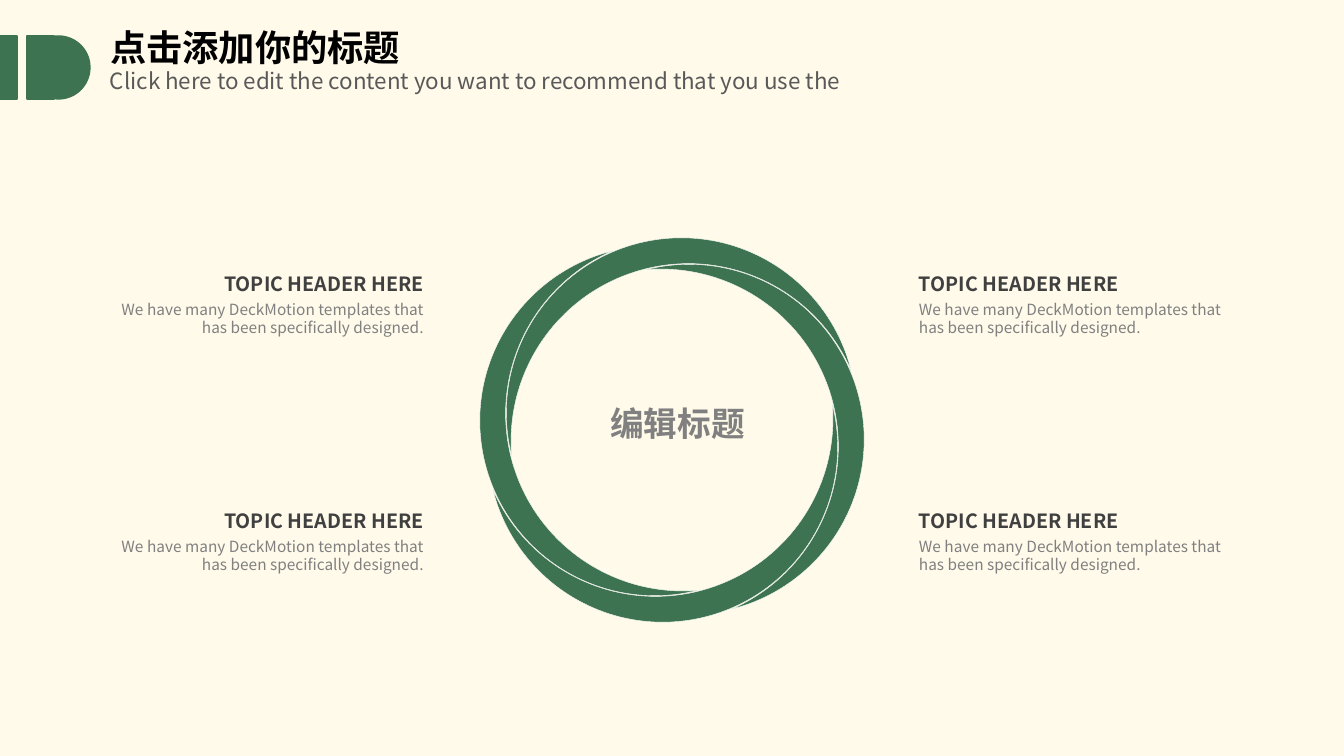
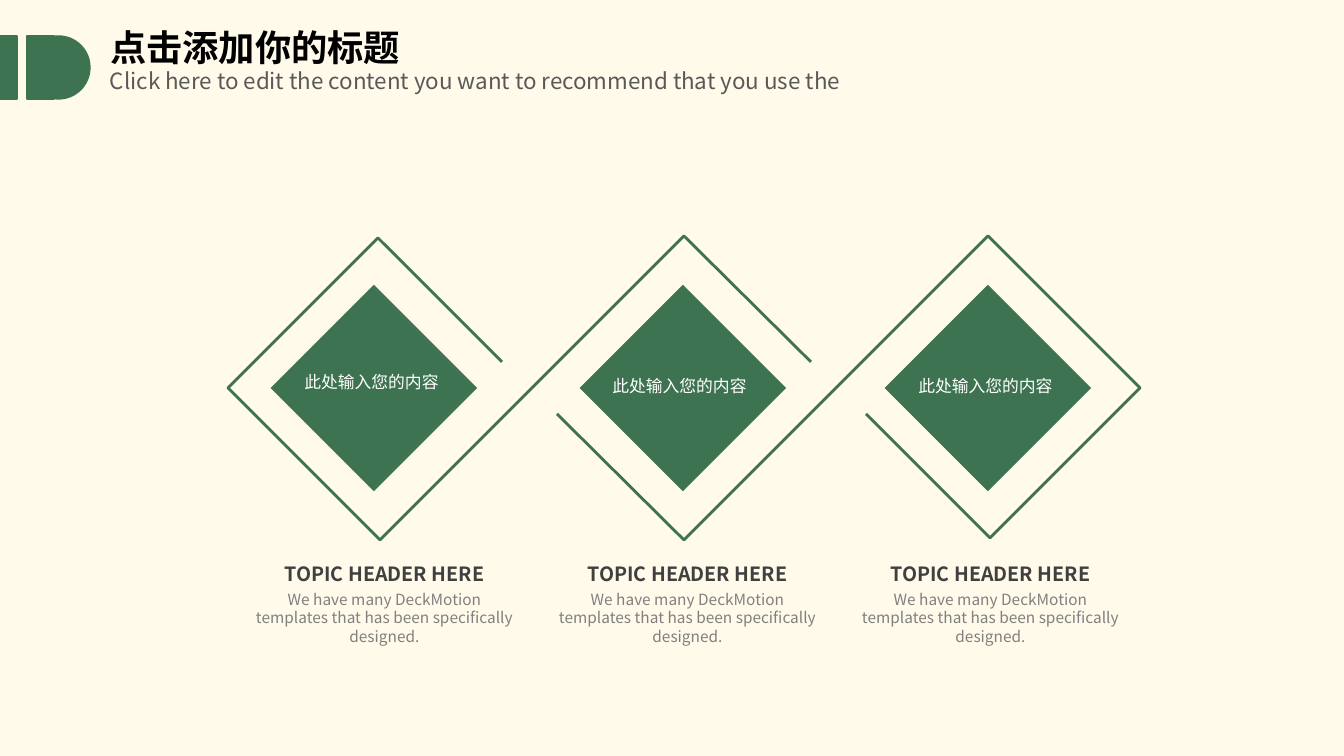
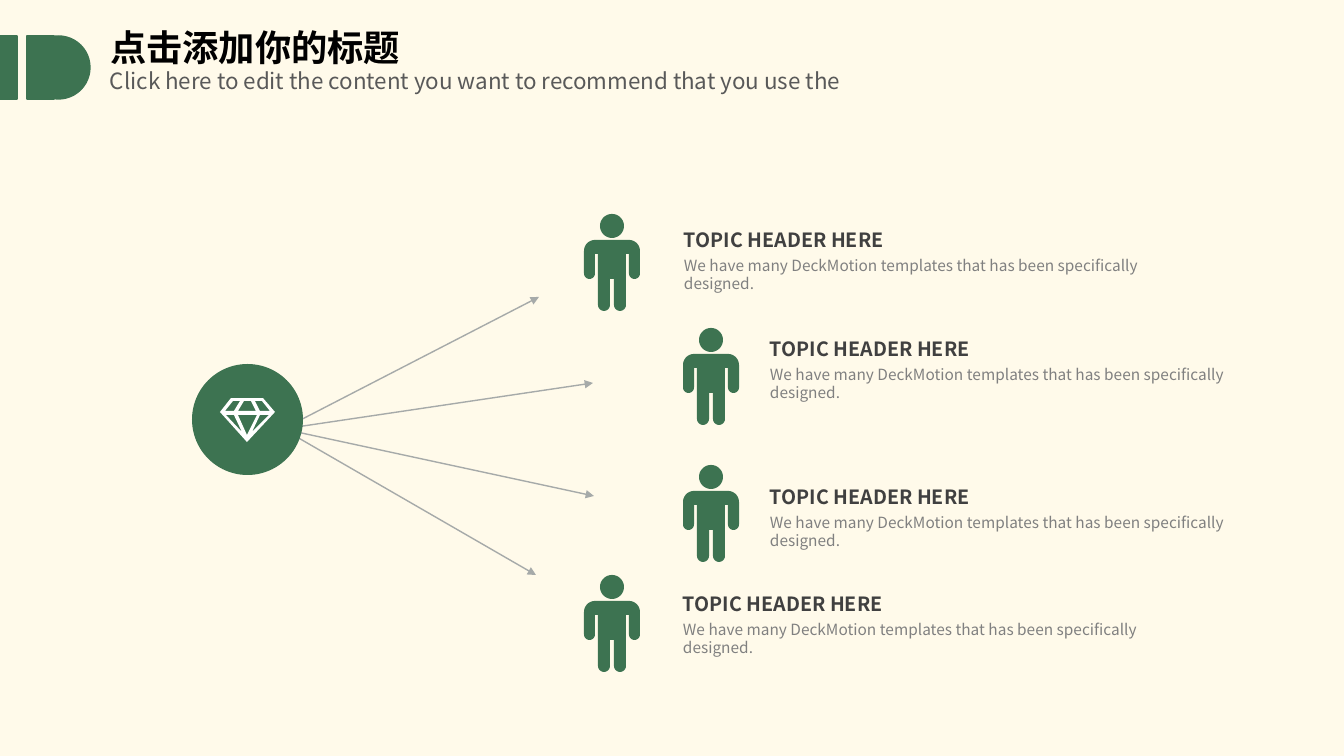
from dataclasses import dataclass
from math import cos, radians, sin

from lxml import etree
from pptx import Presentation
from pptx.dml.color import RGBColor
from pptx.enum.shapes import MSO_CONNECTOR as Connector
from pptx.enum.shapes import MSO_SHAPE as Preset
from pptx.enum.text import MSO_ANCHOR as Anchor
from pptx.enum.text import MSO_AUTO_SIZE as AutoSize
from pptx.enum.text import PP_ALIGN as Align
from pptx.oxml.ns import qn
from pptx.util import Emu, Pt


@dataclass(frozen=True)
class Theme:
    page: str = "FFFAEA"
    green: str = "3D7351"
    white: str = "FFFFFF"
    black: str = "000000"
    heading: str = "404040"
    subtitle: str = "595959"
    body: str = "808080"
    arrow: str = "A6AAA9"
    font: str = "Noto Sans CJK SC"
    center_font: str = "Arial"
    title_size: float = 25.9
    center_size: int = 24
    subtitle_size: int = 16
    heading_size: int = 14
    label_size: int = 12
    body_size: int = 11


THEME = Theme()
EMU_PER_PX = 914400 / 100.8
TITLE = "点击添加你的标题"
SUBTITLE = "Click here to edit the content you want to recommend that you use the"
TOPIC = "TOPIC HEADER HERE"
TOPIC_BODY = "We have many DeckMotion templates that has been specifically designed."
LABEL = "此处输入您的内容"


def px(length):
    return Emu(round(length * EMU_PER_PX))


def color(code):
    return RGBColor.from_string(code)


def paint(shape, fill=None, line=None, width=1):
    shape.shadow.inherit = False
    if fill:
        shape.fill.solid()
        shape.fill.fore_color.rgb = color(fill)
    else:
        shape.fill.background()
    if line:
        shape.line.color.rgb = color(line)
        shape.line.width = Pt(width)
    else:
        shape.line.fill.background()
    return shape


def add_preset(page, preset, left, top, width, height, fill, line=None, line_width=1):
    shape = page.shapes.add_shape(preset, px(left), px(top), px(width), px(height))
    return paint(shape, fill, line, line_width)


def add_outline(page, contours, left=0, top=0, close=True):
    points = [[(px(left + x), px(top + y)) for x, y in contour] for contour in contours]
    builder = page.shapes.build_freeform(*points[0][0], scale=1.0)
    for index, contour in enumerate(points):
        if index:
            builder.move_to(*contour[0])
        builder.add_line_segments(contour[1:], close=close)
    return builder.convert_to_shape()


def add_arrow(page, start, end):
    arrow = page.shapes.add_connector(Connector.STRAIGHT, *map(px, start + end))
    arrow.line.color.rgb = color(THEME.arrow)
    arrow.line.width = Pt(1)
    properties = arrow.element.spPr
    etree.SubElement(properties.find(qn("a:ln")), qn("a:tailEnd"), type="triangle")
    etree.SubElement(properties, qn("a:effectLst"))


def add_span(para, text, size, ink, bold=False, font=THEME.font):
    span = para.add_run()
    span.text = text
    span.font.name = font
    span.font.size = Pt(size)
    span.font.bold = bold
    span.font.color.rgb = color(ink)
    etree.SubElement(span._r.get_or_add_rPr(), qn("a:ea"), typeface=font)


def add_box(page, left, top, width, height, anchor=Anchor.TOP):
    box = page.shapes.add_textbox(px(left), px(top), px(width), px(height))
    frame = box.text_frame
    frame.word_wrap = True
    frame.auto_size = AutoSize.NONE
    frame.vertical_anchor = anchor
    return frame


def add_line_text(frame, text, size, ink, align, **style):
    para = frame.paragraphs[0]
    para.alignment = align
    add_span(para, text, size, ink, **style)
    return para


def add_topic(page, left, top, width, height, align=Align.LEFT):
    frame = add_box(page, left, top, width, height)
    frame.margin_left = frame.margin_right = frame.margin_top = frame.margin_bottom = 0
    add_line_text(frame, TOPIC, THEME.heading_size, THEME.heading, align, bold=True)
    para = frame.add_paragraph()
    para.alignment = align
    para.space_before = Pt(3)
    add_span(para, TOPIC_BODY, THEME.body_size, THEME.body)


def add_header_mark(page, layout):
    for preset, left, width in (
        (Preset.RECTANGLE, 0, 17),
        (Preset.RECTANGLE, 27, 27),
        (Preset.OVAL, 27, 63),
    ):
        mark = add_preset(page, preset, left, 36, width, 63, THEME.green, THEME.green)
        layout.shapes.element.append(mark.element)


def add_page(deck):
    page = deck.slides.add_slide(deck.slide_layouts[5])
    title = page.shapes.title
    title.left, title.top, title.width, title.height = map(px, (100, 28, 869, 47))
    frame = title.text_frame
    frame.word_wrap = True
    frame.auto_size = AutoSize.NONE
    frame.vertical_anchor = Anchor.MIDDLE
    para = add_line_text(frame, TITLE, THEME.title_size, THEME.black, Align.LEFT, bold=True)
    para.line_spacing = 0.8
    frame = add_box(page, 100, 67, 869, 33, Anchor.MIDDLE)
    para = add_line_text(frame, SUBTITLE, THEME.subtitle_size, THEME.subtitle, Align.LEFT)
    para.line_spacing = 0.8
    return page


def build_ring(page):
    width, height = 175, 350
    center_x, center_y = 672, 430
    offsets = {1: (-12, -102), 0: (-102, 12), 2: (102, -12), 3: (12, 102)}
    for turn, (across, down) in offsets.items():
        left = center_x + across - width / 2
        top = center_y + down - height / 2
        moon = add_preset(page, Preset.MOON, left, top, width, height,
                          THEME.green, THEME.white, 0.25)
        moon.adjustments[0] = 0.152
        moon.rotation = (345.9 + 90 * turn) % 360
    frame = add_box(page, 561, 398, 233, 50, Anchor.MIDDLE)
    add_line_text(frame, "编辑标题", THEME.center_size, THEME.body, Align.CENTER,
                  bold=True, font=THEME.center_font)
    for top in (272, 509):
        for left, align in ((115, Align.RIGHT), (919, Align.LEFT)):
            add_topic(page, left, top, 309, 78, align)


def build_diamonds(page):
    ribbon = [(811, 362), (684, 236), (380, 540), (228, 388), (378, 238), (502, 362)]
    turned = [(1368 - x, 776 - y) for x, y in ribbon]
    for points in (ribbon, turned):
        paint(add_outline(page, [points], close=False), line=THEME.green, width=2)
    for left in (301, 610, 915):
        diamond = add_preset(page, Preset.RECTANGLE, left, 315, 146, 146, THEME.green)
        diamond.rotation = 315
    for left, top in ((280, 367), (588, 371), (894, 371)):
        frame = add_box(page, left, top, 183, 32)
        add_line_text(frame, LABEL, THEME.label_size, THEME.white, Align.CENTER)
    for column in range(3):
        add_topic(page, 254 + 303 * column, 562, 261, 78, Align.CENTER)


def arc(left, top, size, start, end, steps=12):
    radius = size / 2
    angles = [radians(start + (end - start) * step / steps) for step in range(steps + 1)]
    return [(left + radius + radius * cos(angle), top + radius + radius * sin(angle))
            for angle in angles]


def add_person(page, left, top):
    head = arc(16, 0, 24, 0, 360, 36)
    leg = [(26, 65)] + arc(14, 85, 12, 0, 180)
    arm = [(14, 40), (11, 40)] + arc(0, 54, 11, 0, 180)
    half = leg + arm + arc(0, 26, 22, 180, 270)
    body = half + [(56 - x, y) for x, y in reversed(half)]
    paint(add_outline(page, [head, body], left, top), THEME.green)


def add_gem(page, left, top):
    contours = [
        [(11, 0), (43, 0), (55, 14), (27, 44), (0, 14)],
        [(40, 13), (35, 3), (42, 3), (50, 13)],
        [(32, 34), (40, 17), (49, 17)],
        [(27, 37), (18, 17), (37, 17)],
        [(6, 17), (14, 17), (22, 34)],
        [(13, 3), (20, 3), (14, 13), (5, 13)],
        [(31, 3), (36, 13), (18, 13), (24, 3)],
    ]
    paint(add_outline(page, contours, left, top), THEME.white)


def build_people(page):
    rows = [
        ((539, 297), (584, 214), (684, 228)),
        ((593, 383), (683, 328), (770, 337)),
        ((594, 496), (683, 465), (770, 485)),
        ((536, 575), (584, 575), (683, 592)),
    ]
    for tip, person, topic in rows:
        add_arrow(page, (283, 429), tip)
        add_person(page, *person)
        add_topic(page, *topic, 517, 55)
    add_preset(page, Preset.OVAL, 192, 364, 111, 111, THEME.green)
    add_gem(page, 220, 398)


def main():
    deck = Presentation()
    deck.slide_width, deck.slide_height = px(1344), px(756)
    background = deck.slide_master.background.fill
    background.solid()
    background.fore_color.rgb = color(THEME.page)
    for number, build in enumerate((build_ring, build_diamonds, build_people)):
        page = add_page(deck)
        if number == 0:
            add_header_mark(page, page.slide_layout)
        build(page)
    deck.save("out.pptx")


if __name__ == "__main__":
    main()
